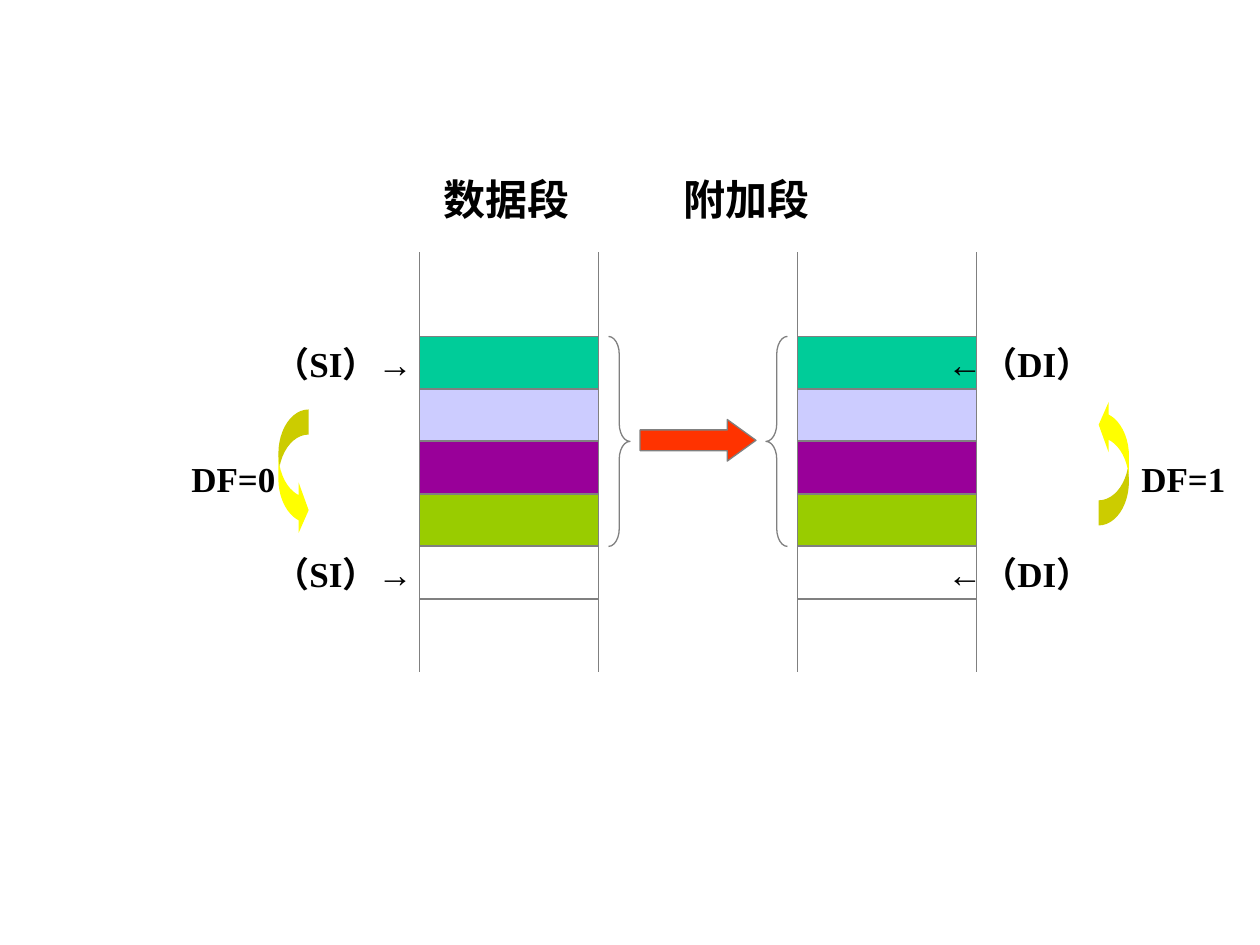
from lxml.etree import SubElement
from pptx import Presentation
from pptx.dml.color import RGBColor
from pptx.enum.shapes import MSO_CONNECTOR, MSO_SHAPE
from pptx.oxml.ns import qn
from pptx.util import Inches, Pt

BLACK = RGBColor(0x00, 0x00, 0x00)
GRAY = RGBColor(0x80, 0x80, 0x80)
YELLOW = RGBColor(0xFF, 0xFF, 0x00)
RED = RGBColor(0xFF, 0x33, 0x00)
GREEN = RGBColor(0x00, 0xCC, 0x99)
LILAC = RGBColor(0xCC, 0xCC, 0xFF)
PURPLE = RGBColor(0x99, 0x00, 0x99)
LIME = RGBColor(0x99, 0xCC, 0x00)

SERIF, SANS, HAN = "Times New Roman", "Arial", "Noto Sans CJK SC"
CELLS = [GREEN, LILAC, PURPLE, LIME, None]
COLUMNS = [3.33, 6.33]
WIDTH, TOP, ROW = 1.42, 2.67, 5 / 12
POINTER = [("（SI）", SERIF, HAN), ("→\t←", SANS, SANS), ("（DI）", SERIF, HAN)]
HEADING = [("数据段\t附加段", HAN, HAN)]
LOOPS = [("DF=0", 1.42, 2.21, 3.25, 0), ("DF=1", 8.96, 8.72, 3.17, 180)]
BRACES = [(MSO_SHAPE.RIGHT_BRACE, 4.83), (MSO_SHAPE.LEFT_BRACE, 6.08)]

deck = Presentation()
deck.slide_width, deck.slide_height = Inches(10), Inches(7.5)
slide = deck.slides.add_slide(deck.slide_layouts[6])
shapes = slide.shapes


def add_text(runs, box, size, stop=None):
    frame = shapes.add_textbox(*map(Inches, box)).text_frame
    frame.word_wrap = True
    para = frame.paragraphs[0]
    if stop:
        tabs = SubElement(para._p.get_or_add_pPr(), qn("a:tabLst"))
        SubElement(tabs, qn("a:tab"), pos=str(Inches(stop)), algn="l")
    para.font.size, para.font.bold = Pt(size), True
    para.font.color.rgb = BLACK
    for words, latin, east in runs:
        run = para.add_run()
        run.text = words
        run.font.size, run.font.bold = Pt(size), True
        run.font.color.rgb = BLACK
        run.font.name = latin
        SubElement(run.font._element, qn("a:ea"), typeface=east)


def add_shape(kind, box, fill=None, line=None, adjust=()):
    shape = shapes.add_shape(kind, *map(Inches, box))
    shape.shadow.inherit = False
    if fill is None:
        shape.fill.background()
    else:
        shape.fill.solid()
        shape.fill.fore_color.rgb = fill
    if line is None:
        shape.line.fill.background()
    else:
        shape.line.color.rgb = GRAY
        shape.line.width = Pt(line)
    for index, value in enumerate(adjust):
        shape.adjustments[index] = value
    return shape


def add_rail(x):
    rail = shapes.add_connector(MSO_CONNECTOR.STRAIGHT, Inches(x), Inches(2),
                                Inches(x), Inches(5.33))
    rail.line.color.rgb = GRAY
    rail.line.width = Pt(1)
    SubElement(rail._element.spPr, qn("a:effectLst"))


def add_pointer(row):
    add_text(POINTER, (2.08, TOP + row * ROW, 7, 0.44), 20, 5.34)


add_pointer(4)
for label, left, x, y, turn in LOOPS:
    loop = add_shape(MSO_SHAPE.CURVED_RIGHT_ARROW, (x, y, 0.24, 1), YELLOW,
                     adjust=(0.83, 1.67, 0.33))
    loop.rotation = turn
    add_text([(label, SERIF, HAN)], (left, 3.58, 0.87, 0.44), 20)

add_text(HEADING, (3.42, 1.33, 4.33, 0.5), 24, 1.91)
for x in COLUMNS:
    add_rail(x)
    add_rail(x + WIDTH)
    for row, fill in enumerate(CELLS):
        add_shape(MSO_SHAPE.RECTANGLE, (x, TOP + row * ROW, WIDTH, ROW), fill, 1)
add_pointer(0)

for kind, x in BRACES:
    add_shape(kind, (x, TOP, 0.17, 4 * ROW), line=0.75, adjust=(0.83, 0.5))
add_shape(MSO_SHAPE.RIGHT_ARROW, (5.08, 3.33, 0.92, 0.33), RED, 0.75, (0.5, 0.69))

deck.save("out.pptx")
